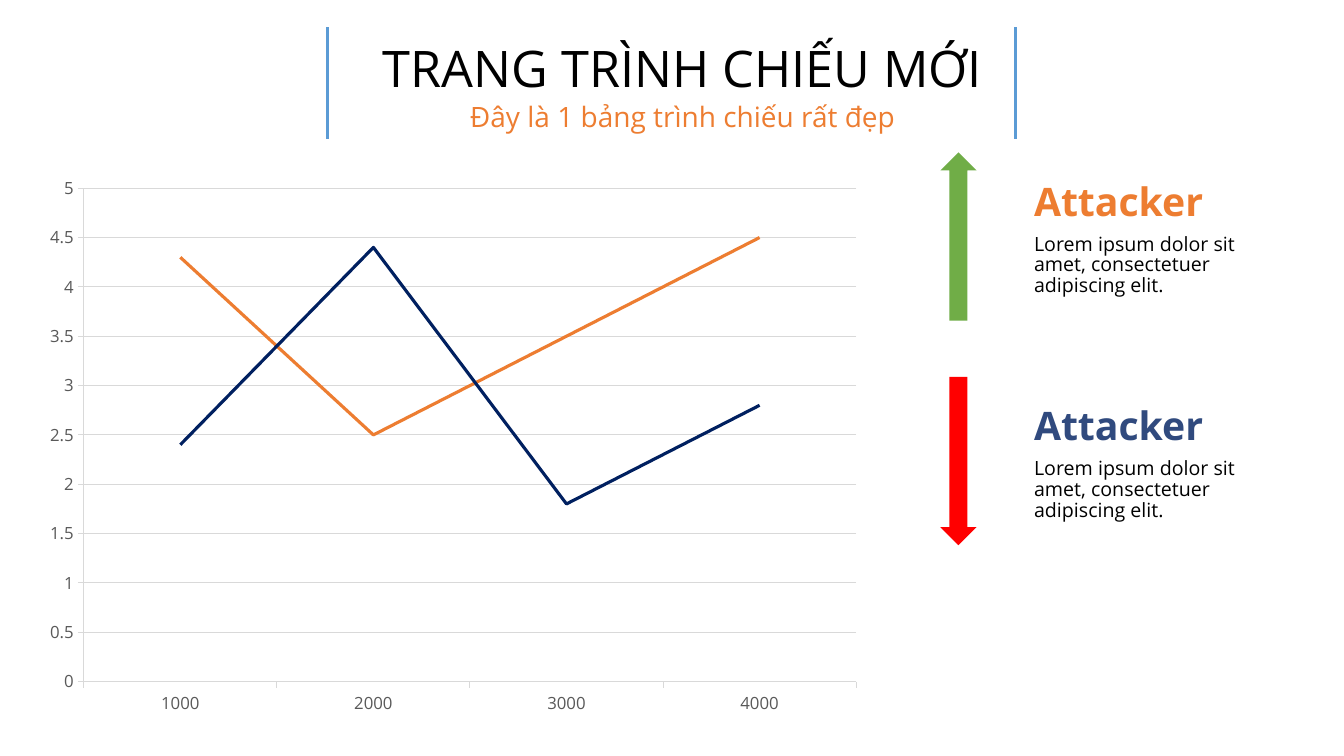
from dataclasses import dataclass

from lxml import etree
from pptx import Presentation
from pptx import util as u
from pptx.chart.data import CategoryChartData
from pptx.dml.color import RGBColor
from pptx.enum import chart as charts, shapes, text
from pptx.oxml.ns import qn

FONT = "Open Sans"
BLACK = RGBColor(0x00, 0x00, 0x00)
ORANGE = RGBColor(0xED, 0x7D, 0x31)
NAVY = RGBColor(0x00, 0x20, 0x60)
INDIGO = RGBColor(0x30, 0x4A, 0x7E)
GREEN = RGBColor(0x70, 0xAD, 0x47)
RED = RGBColor(0xFF, 0x00, 0x00)
BLUE = RGBColor(0x5B, 0x9B, 0xD5)
GREY = RGBColor(0x59, 0x59, 0x59)
PALE = RGBColor(0xD9, 0xD9, 0xD9)

TEXT_LEFT = 25.81
BAR_POSITIONS = (8.26, 25.6)


@dataclass
class Callout:
    top: float
    arrow: shapes.MSO_SHAPE
    arrow_color: RGBColor
    heading_color: RGBColor


@dataclass
class Trend:
    name: str
    values: tuple[float, ...]
    color: RGBColor


CALLOUTS = [
    Callout(3.84, shapes.MSO_SHAPE.UP_ARROW, GREEN, ORANGE),
    Callout(9.5, shapes.MSO_SHAPE.DOWN_ARROW, RED, INDIGO),
]
TRENDS = [
    Trend("Series 1", (4.3, 2.5, 3.5, 4.5), ORANGE),
    Trend("Series 2", (2.4, 4.4, 1.8, 2.8), NAVY),
]


def set_font(font, size: float, color: RGBColor, bold: bool = False) -> None:
    font.name = FONT
    font.size = u.Pt(size)
    font.bold = bold
    font.color.rgb = color


def write(box, words: str, size: float, color: RGBColor, bold: bool = False,
          align=text.PP_ALIGN.LEFT, spacing: float = 1.0) -> None:
    frame = box.text_frame
    frame.word_wrap = True
    frame.vertical_anchor = text.MSO_ANCHOR.TOP
    frame.auto_size = text.MSO_AUTO_SIZE.NONE
    frame.text = words
    para = frame.paragraphs[0]
    para.alignment = align
    para.line_spacing = spacing
    para.space_before = u.Pt(0)
    set_font(para.font, size, color, bold)


def fill_placeholder(box, words: str, top: float, height: float,
                     size: float, color: RGBColor) -> None:
    box.left, box.top = u.Cm(5.99), u.Cm(top)
    box.width, box.height = u.Cm(22.43), u.Cm(height)
    write(box, words, size, color, align=text.PP_ALIGN.CENTER)


def add_text(page, top: float, width: float, height: float):
    return page.shapes.add_textbox(u.Cm(TEXT_LEFT), u.Cm(top), u.Cm(width), u.Cm(height))


def add_bar(page, left: float) -> None:
    bar = page.shapes.add_connector(
        shapes.MSO_CONNECTOR.STRAIGHT, u.Cm(left), u.Cm(0.69), u.Cm(left), u.Cm(3.51))
    bar.line.color.rgb = BLUE
    bar.line.width = u.Pt(2.25)
    etree.SubElement(bar._element.spPr, qn("a:effectLst"))


def add_callout(page, callout: Callout) -> None:
    arrow = page.shapes.add_shape(
        callout.arrow, u.Cm(23.7), u.Cm(callout.top), u.Cm(0.91), u.Cm(4.24))
    arrow.shadow.inherit = False
    arrow.fill.solid()
    arrow.fill.fore_color.rgb = callout.arrow_color
    arrow.line.fill.background()
    heading = add_text(page, callout.top + 0.5, 5.54, 1.45)
    write(heading, "Attacker", 28, callout.heading_color, bold=True)
    body = add_text(page, callout.top + 1.95, 5.89, 2.06)
    write(body, "Lorem ipsum dolor sit amet, consectetuer adipiscing elit.",
          14, BLACK, spacing=0.88)


def style_line(line, color: RGBColor, width: float) -> None:
    line.color.rgb = color
    line.width = u.Pt(width)


def add_trend_chart(page) -> None:
    data = CategoryChartData()
    data.categories = ["1000", "2000", "3000", "4000"]
    for trend in TRENDS:
        data.add_series(trend.name, trend.values)
    chart = page.shapes.add_chart(
        charts.XL_CHART_TYPE.LINE, u.Cm(0.84), u.Cm(4.17),
        u.Cm(21.16), u.Cm(14.12), data).chart
    set_font(chart.font, 10, BLACK)
    chart.has_title = False
    chart.has_legend = False
    chart.plots[0].vary_by_categories = False
    for series, trend in zip(chart.plots[0].series, TRENDS):
        series.smooth = False
        series.marker.style = charts.XL_MARKER_STYLE.NONE
        style_line(series.format.line, trend.color, 2.25)
    for axis in (chart.category_axis, chart.value_axis):
        set_font(axis.tick_labels.font, 12, GREY)
        style_line(axis.format.line, PALE, 0.75)
    chart.category_axis.major_tick_mark = charts.XL_TICK_MARK.OUTSIDE
    scale = chart.value_axis
    scale.major_tick_mark = charts.XL_TICK_MARK.CROSS
    scale.minimum_scale, scale.maximum_scale, scale.major_unit = 0, 5, 0.5
    scale.tick_labels.number_format = "General"
    scale.tick_labels.number_format_is_linked = False
    scale.has_major_gridlines = True
    style_line(scale.major_gridlines.format.line, PALE, 0.75)


def main() -> None:
    deck = Presentation()
    deck.slide_width, deck.slide_height = u.Cm(33.87), u.Cm(19.05)
    page = deck.slides.add_slide(deck.slide_layouts[0])
    title, subtitle = page.placeholders
    fill_placeholder(title, "TRANG TRÌNH CHIẾU MỚI", 0.81, 1.8, 36, BLACK)
    fill_placeholder(subtitle, "Đây là 1 bảng trình chiếu rất đẹp", 2.39, 1.12, 20, ORANGE)
    for left in BAR_POSITIONS:
        add_bar(page, left)
    add_trend_chart(page)
    for callout in CALLOUTS:
        add_callout(page, callout)
    deck.save("out.pptx")


if __name__ == "__main__":
    main()
